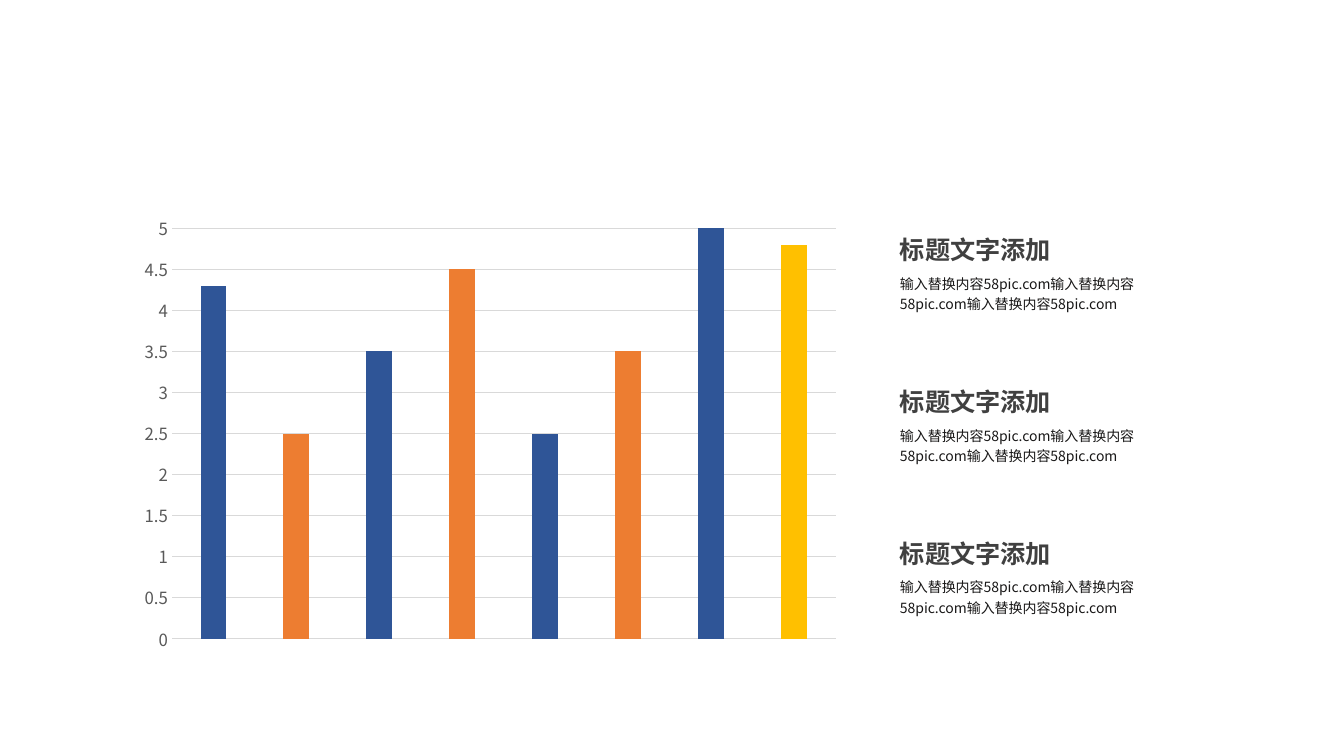
from lxml.etree import SubElement
from pptx import Presentation
from pptx.chart.data import CategoryChartData
from pptx.dml.color import RGBColor
from pptx.enum.chart import XL_CHART_TYPE as ChartType, XL_TICK_MARK as TickMark
from pptx.enum.text import MSO_AUTO_SIZE as AutoSize
from pptx.oxml.ns import qn
from pptx.util import Cm, Pt

FONT = "Noto Sans CJK SC"
BLUE, ORANGE, GOLD = "2F5597", "ED7D31", "FFC000"
BARS = [
    (4.3, BLUE), (2.5, ORANGE), (3.5, BLUE), (4.5, ORANGE),
    (2.5, BLUE), (3.5, ORANGE), (5, BLUE), (4.8, GOLD),
]
HEADING = "标题文字添加"
BODY = "输入替换内容58pic.com" * 3


def colour(value):
    return RGBColor.from_string(value)


class Page:
    """Draws chart and text elements on one slide in a shared style."""

    def __init__(self, deck):
        self.font = FONT
        self.slide = deck.slides.add_slide(deck.slide_layouts[6])

    def style(self, font, size, fill, bold=False):
        font.name = self.font
        font.size = Pt(size)
        font.bold = bold
        font.color.rgb = colour(fill)

    def text(self, words, left, top, width, height, size, fill, bold=False, spacing=None):
        box = self.slide.shapes.add_textbox(Cm(left), Cm(top), Cm(width), Cm(height))
        frame = box.text_frame
        frame.word_wrap = True
        frame.auto_size = AutoSize.SHAPE_TO_FIT_TEXT
        para = frame.paragraphs[0]
        para.text = words
        para.line_spacing = spacing
        self.style(para.font, size, fill, bold)
        defaults = para._p.pPr.find(qn("a:defRPr"))
        SubElement(defaults, qn("a:ea"), typeface=self.font)

    def columns(self, bars, left, top, width, height):
        data = CategoryChartData()
        data.categories = [str(number) for number in range(1, len(bars) + 1)]
        data.add_series("Series 1", [value for value, _ in bars])
        chart = self.slide.shapes.add_chart(
            ChartType.COLUMN_CLUSTERED, Cm(left), Cm(top), Cm(width), Cm(height), data
        ).chart
        chart.has_legend = False
        chart.has_title = False
        self.style(chart.font, 10, "000000")

        plot = chart.plots[0]
        plot.vary_by_categories = False
        plot.gap_width = 224
        plot.overlap = -100
        series = plot.series[0]
        series.format.fill.solid()
        series.format.fill.fore_color.rgb = colour(BLUE)
        for index, (_, fill) in enumerate(bars):
            if fill != BLUE:
                point = series.points[index].format.fill
                point.solid()
                point.fore_color.rgb = colour(fill)

        chart.category_axis.visible = False
        axis = chart.value_axis
        axis.minimum_scale = 0
        axis.maximum_scale = 5
        axis.major_unit = 0.5
        axis.major_tick_mark = TickMark.NONE
        axis.format.line.fill.background()
        self.style(axis.tick_labels.font, 12, "595959")
        grid = axis.major_gridlines.format.line
        grid.color.rgb = colour("D9D9D9")
        grid.width = Pt(0.75)


def main():
    deck = Presentation()
    deck.slide_width, deck.slide_height = Cm(33.87), Cm(19.05)
    page = Page(deck)
    page.columns(BARS, 3.28, 5.21, 18.14, 11.43)
    for row in range(3):
        top = 5.79 + row * 3.82
        page.text(HEADING, 22.43, top, 5.92, 1.02, 18, "404040", bold=True)
        page.text(BODY, 22.43, top + 0.95, 7.82, 1.27, 10, "181717", spacing=1.2)
    deck.save("out.pptx")


if __name__ == "__main__":
    main()
